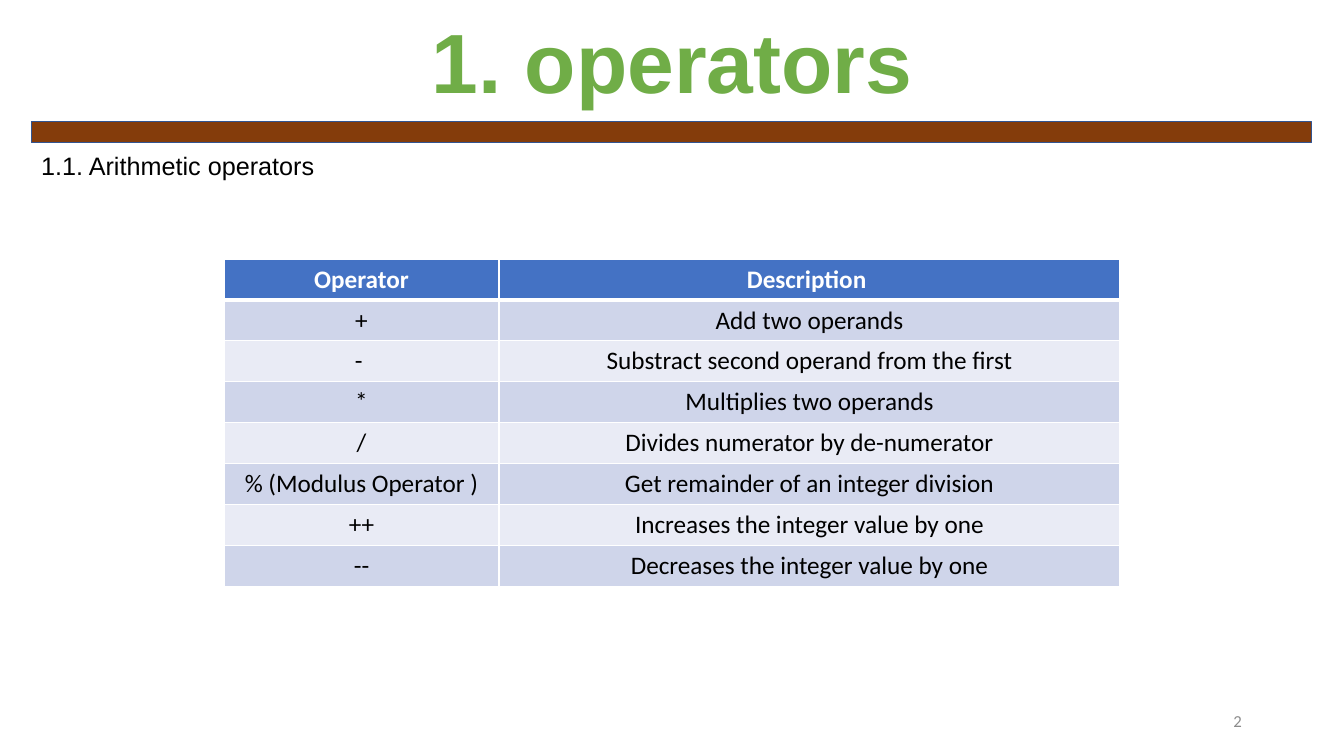
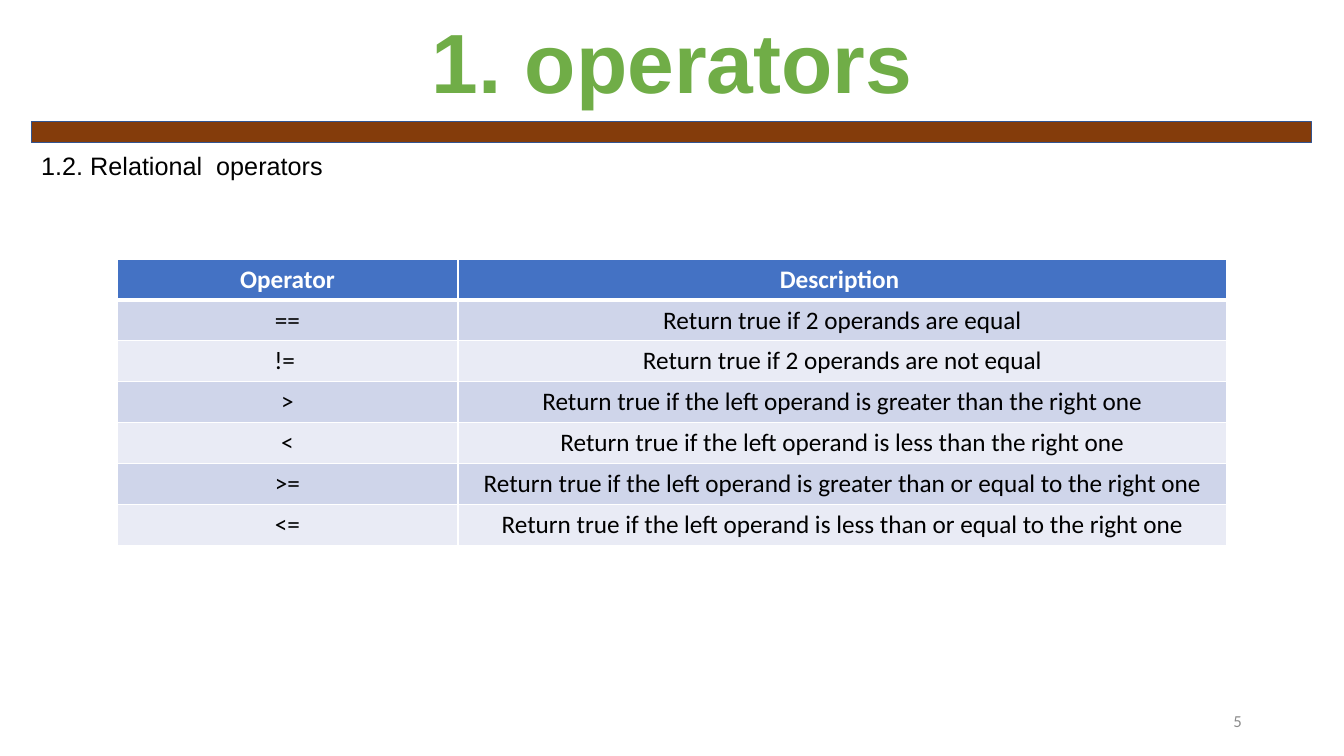
from dataclasses import dataclass

from lxml import etree
from pptx import Presentation
from pptx.dml.color import RGBColor
from pptx.enum.shapes import MSO_SHAPE
from pptx.enum.text import MSO_ANCHOR, MSO_AUTO_SIZE, PP_ALIGN
from pptx.oxml.ns import qn
from pptx.util import Cm, Pt

# Enum members
RECTANGLE = MSO_SHAPE.RECTANGLE
LEFT, CENTER, RIGHT = PP_ALIGN.LEFT, PP_ALIGN.CENTER, PP_ALIGN.RIGHT
TOP, MIDDLE, BOTTOM = MSO_ANCHOR.TOP, MSO_ANCHOR.MIDDLE, MSO_ANCHOR.BOTTOM
NO_AUTOFIT = MSO_AUTO_SIZE.NONE

# Colours and fonts
WHITE = RGBColor(0xFF, 0xFF, 0xFF)
BLACK = RGBColor(0x00, 0x00, 0x00)
GRAY = RGBColor(0x8C, 0x8C, 0x8C)
GREEN = RGBColor(0x70, 0xAD, 0x47)
BROWN = RGBColor(0x84, 0x3C, 0x0B)
BAR_EDGE = RGBColor(0x32, 0x54, 0x91)
HEADER_FILL = RGBColor(0x44, 0x72, 0xC4)
ROW_FILLS = (RGBColor(0xE9, 0xEB, 0xF5), RGBColor(0xCF, 0xD5, 0xEA))
HEADING_FONT, TABLE_FONT = "Arial", "Calibri"

# Layout
SLIDE_WIDTH, SLIDE_HEIGHT = Cm(33.87), Cm(19.05)
TITLE_ONLY_LAYOUT = 5
MARGIN = Cm(0.79)
TABLE_TOP, ROW_HEIGHT = Cm(6.53), Cm(1.03)

TITLE = "1. operators"
HEADER = ("Operator", "Description ")


@dataclass(frozen=True)
class OperatorSlide:
    number: int
    heading: str
    column_widths: tuple[float, float]  # centimetres
    rows: tuple[tuple[str, str], ...]


@dataclass(frozen=True)
class TextStyle:
    font: str
    size: int
    color: RGBColor
    bold: bool = False
    alignment: PP_ALIGN = LEFT


TITLE_STYLE = TextStyle(HEADING_FONT, 60, GREEN, True, CENTER)
HEADING_STYLE = TextStyle(HEADING_FONT, 18, BLACK)
NUMBER_STYLE = TextStyle(TABLE_FONT, 12, GRAY, alignment=RIGHT)
HEADER_STYLE = TextStyle(TABLE_FONT, 18, WHITE, True, CENTER)
CELL_STYLE = TextStyle(TABLE_FONT, 18, BLACK, alignment=CENTER)

SLIDES = (
    OperatorSlide(2, "1.1. Arithmetic operators", (6.93, 15.65), (
        ("+", "Add two operands"),
        ("- ", "Substract second operand from the first"),
        ("*", "Multiplies two operands"),
        ("/", "Divides numerator by de-numerator"),
        ("% (Modulus Operator )", "Get remainder of an integer division"),
        ("++", "Increases the integer value by one"),
        ("--", "Decreases the integer value by one"),
    )),
    OperatorSlide(5, "1.2. Relational  operators", (8.59, 19.38), (
        ("==", "Return true if 2 operands are equal"),
        ("!= ", "Return true if 2 operands are not equal"),
        (">", "Return true if the left operand is greater than the right one"),
        ("<", "Return true if the left operand is less than the right one"),
        (">=", "Return true if the left operand is greater than or equal to the right one"),
        ("<=", "Return true if the left operand is less than or equal to the right one"),
    )),
)


def write_text(text_frame, text: str, style: TextStyle) -> None:
    text_frame.text = text
    paragraph = text_frame.paragraphs[0]
    paragraph.alignment = style.alignment
    font = paragraph.font
    font.name, font.size, font.bold = style.font, Pt(style.size), style.bold
    font.color.rgb = style.color


def add_label(slide, text: str, box: tuple, style: TextStyle, anchor: MSO_ANCHOR) -> None:
    text_frame = slide.shapes.add_textbox(*box).text_frame
    text_frame.word_wrap = True
    text_frame.vertical_anchor = anchor
    write_text(text_frame, text, style)


def set_title(slide) -> None:
    title = slide.shapes.title
    title.left, title.top, title.width, title.height = 0, 0, SLIDE_WIDTH, Cm(2.95)
    text_frame = title.text_frame
    text_frame.auto_size = NO_AUTOFIT
    text_frame.vertical_anchor = BOTTOM
    write_text(text_frame, TITLE, TITLE_STYLE)
    text_frame.paragraphs[0].line_spacing = 0.9


def add_bar(slide) -> None:
    bar = slide.shapes.add_shape(RECTANGLE, MARGIN, Cm(3.07), Cm(32.26), Cm(0.53))
    bar.shadow.inherit = False
    bar.fill.solid()
    bar.fill.fore_color.rgb = BROWN
    bar.line.color.rgb = BAR_EDGE
    bar.line.width = Pt(1)


def set_borders(cell, widths: dict[str, int]) -> None:
    """Draw white cell borders; python-pptx has no public method for them."""
    properties = cell._tc.get_or_add_tcPr()
    for index, (side, width) in enumerate(widths.items()):
        line = etree.Element(qn(f"a:{side}"), w=str(Pt(width)))
        fill = etree.SubElement(line, qn("a:solidFill"))
        etree.SubElement(fill, qn("a:srgbClr"), val=str(WHITE))
        properties.insert(index, line)


def add_operator_table(slide, content: OperatorSlide) -> None:
    rows = (HEADER, *content.rows)
    widths = [Cm(width) for width in content.column_widths]
    left = (SLIDE_WIDTH - sum(widths)) // 2
    table = slide.shapes.add_table(
        len(rows), len(widths), left, TABLE_TOP, sum(widths), ROW_HEIGHT * len(rows)
    ).table
    for column, width in zip(table.columns, widths):
        column.width = width

    for row_index, row in enumerate(rows):
        is_header = row_index == 0
        top_width = 3 if row_index == 1 else 1
        bottom_width = 3 if is_header else 1
        for column_index, text in enumerate(row):
            cell = table.cell(row_index, column_index)
            cell.vertical_anchor = MIDDLE
            cell.fill.solid()
            cell.fill.fore_color.rgb = HEADER_FILL if is_header else ROW_FILLS[row_index % 2]
            write_text(cell.text_frame, text, HEADER_STYLE if is_header else CELL_STYLE)
            set_borders(cell, {"lnL": 1, "lnR": 1, "lnT": top_width, "lnB": bottom_width})


def add_operator_slide(presentation, content: OperatorSlide) -> None:
    slide = presentation.slides.add_slide(presentation.slide_layouts[TITLE_ONLY_LAYOUT])
    set_title(slide)
    add_bar(slide)
    # Page number and section heading
    number_box = (Cm(23.93), Cm(17.65), Cm(7.62), Cm(1.02))
    add_label(slide, str(content.number), number_box, NUMBER_STYLE, MIDDLE)
    heading_box = (MARGIN, Cm(3.66), Cm(10.11), Cm(1.02))
    add_label(slide, content.heading, heading_box, HEADING_STYLE, TOP)
    add_operator_table(slide, content)


def main() -> None:
    presentation = Presentation()
    presentation.slide_width, presentation.slide_height = SLIDE_WIDTH, SLIDE_HEIGHT
    for content in SLIDES:
        add_operator_slide(presentation, content)
    presentation.save("out.pptx")


if __name__ == "__main__":
    main()
